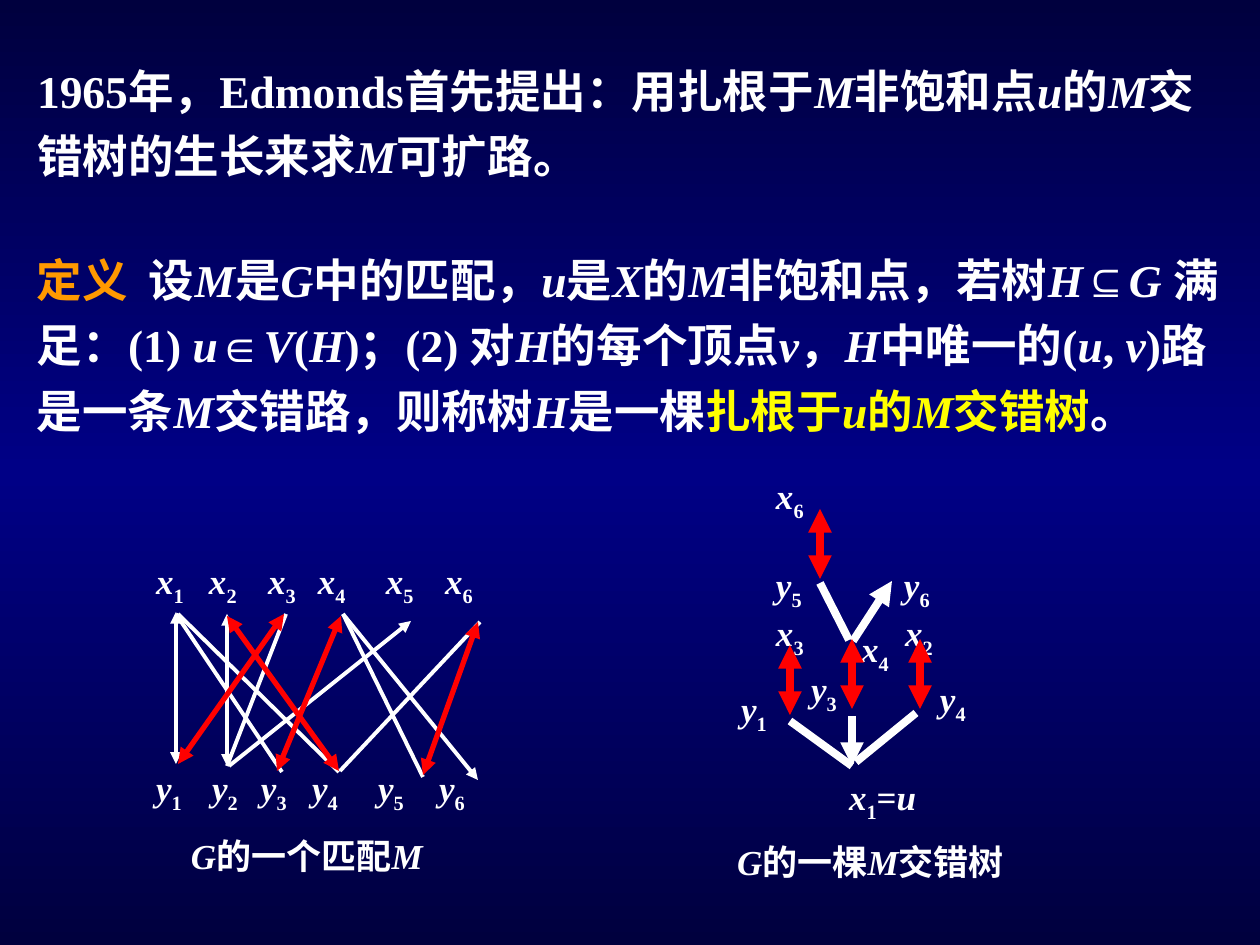
from copy import deepcopy
from dataclasses import dataclass

from lxml import etree
from pptx import Presentation
from pptx import util as u
from pptx.dml.color import RGBColor
from pptx.enum import shapes, text
from pptx.oxml.ns import qn

PX = u.Inches(1) / 126


@dataclass(frozen=True)
class Theme:
    font: str = "Times New Roman"
    symbol_font: str = "Arial"
    white: str = "FFFFFF"
    orange: str = "FF9900"
    yellow: str = "FFFF00"
    red: str = "FF0000"
    background: tuple = ("00003E", "000086", "00003E")
    body_size: int = 26
    label_size: int = 20
    thin: float = 2.25
    medium: float = 3
    thick: float = 4.5


THEME = Theme()

INTRO = [
    ("1965年，Edmonds首先提出：用扎根于*M*非饱和点*u*的*M*交错树的生长来求*M*可扩路。", THEME.white),
]
DEFINITION = [
    ("定义\t", THEME.orange),
    ("设*M*是*G*中的匹配，*u*是*X*的*M*非饱和点，若树*H*", THEME.white),
    ("⊆", THEME.white, THEME.symbol_font),
    ("*G *满足：(1) *u*∈*V*(*H*)；(2) 对*H*的每个顶点*v*，*H*中唯一的(*u*, *v*)路是一条*M*交错路，"
     "则称树*H*是一棵", THEME.white),
    ("扎根于*u*的*M*交错树", THEME.yellow),
    ("。", THEME.white),
]

MATCHING_ROWS = [
    ("x", 560, [156, 209, 268, 318, 386, 445]),
    ("y", 767, [156, 212, 261, 312, 378, 439]),
]
MATCHING_LINES = [
    (THEME.white, THEME.thin, "both", [(176, 612, 176, 764), (227, 614, 227, 766)]),
    (THEME.white, THEME.thin, "end", [(229, 766, 411, 621), (343, 614, 478, 780)]),
    (THEME.white, THEME.thin, "none", [
        (176, 614, 282, 772), (178, 614, 339, 772), (480, 622, 340, 771),
        (343, 614, 423, 777), (286, 614, 227, 766)]),
    (THEME.red, THEME.medium, "both", [
        (478, 622, 423, 775), (341, 616, 277, 771),
        (227, 616, 339, 771), (284, 614, 178, 764)]),
]

TREE_LABELS = [
    ("x", "6", 776, 475), ("y", "5", 776, 564), ("y", "6", 904, 564),
    ("x", "3", 776, 612), ("x", "2", 905, 612), ("x", "4", 861, 628),
    ("y", "1", 741, 688), ("y", "3", 811, 668), ("y", "4", 940, 678),
]
MATCHED_EDGE = 70
TREE_LINES = [
    (THEME.white, THEME.thick, "none", [
        (790, 721, 852, 766), (820, 583, 849, 640), (916, 713, 856, 762)]),
    (THEME.white, THEME.thick, "end", [(852, 716, 852, 766), (853, 641, 892, 581)]),
    (THEME.red, THEME.thick, "both", [
        (x, y, x, y + MATCHED_EDGE)
        for x, y in [(820, 509), (790, 645), (852, 639), (920, 639)]]),
]


def px(value):
    return u.Emu(round(value * PX))


def paint_background(slide):
    fill = slide.background.fill
    fill.gradient()
    fill.gradient_angle = 90
    stop_list = slide.element.find(".//" + qn("a:gsLst"))
    stop_list.insert(1, deepcopy(stop_list[0]))
    for index, (stop, color) in enumerate(zip(fill.gradient_stops, THEME.background)):
        stop.position = index / 2
        stop.color.rgb = RGBColor.from_string(color)


def add_run(paragraph, content, size, color=THEME.white, font=THEME.font,
            italic=False, subscript=False):
    run = paragraph.add_run()
    run.text = content
    run.font.size = u.Pt(size)
    run.font.name = font
    run.font.bold = True
    run.font.italic = italic
    run.font.color.rgb = RGBColor.from_string(color)
    if subscript:
        run.font._element.set("baseline", "-25000")


def add_marked_runs(paragraph, marked, size, color=THEME.white, font=THEME.font):
    for index, part in enumerate(marked.split("*")):
        if part:
            add_run(paragraph, part, size, color, font, italic=index % 2 == 1)


def add_box(container, left, top, width, height, wrap=False):
    frame = container.add_textbox(px(left), px(top), px(width), px(height)).text_frame
    frame.word_wrap = wrap
    frame.margin_left = frame.margin_right = 0
    frame.margin_top = frame.margin_bottom = 0
    return frame


def add_body(slide, segments, top, width, height, anchor, tab=None):
    frame = add_box(slide.shapes, 37, top, width, height, wrap=True)
    frame.vertical_anchor = anchor
    paragraph = frame.paragraphs[0]
    paragraph.line_spacing = 1.2
    if tab:
        tabs = etree.SubElement(paragraph._p.get_or_add_pPr(), qn("a:tabLst"))
        etree.SubElement(tabs, qn("a:tab"), pos=str(px(tab)), algn="l")
    for marked, *style in segments:
        add_marked_runs(paragraph, marked, THEME.body_size, *style)


def add_vertex(container, letter, index, left, top, suffix=""):
    width = 80 if suffix else 34
    paragraph = add_box(container, left, top, width, 48).paragraphs[0]
    add_run(paragraph, letter, THEME.label_size, italic=True)
    add_run(paragraph, index, THEME.label_size, subscript=True)
    add_marked_runs(paragraph, suffix, THEME.label_size)


def add_caption(container, marked, left, top):
    frame = add_box(container, left, top, 360, 52)
    add_marked_runs(frame.paragraphs[0], marked, THEME.label_size)


def add_line(container, ends, color, width, arrows):
    connector = container.add_connector(shapes.MSO_CONNECTOR.STRAIGHT, *map(px, ends))
    connector.line.color.rgb = RGBColor.from_string(color)
    connector.line.width = u.Pt(width)
    outline = connector.line._get_or_add_ln()
    if arrows == "both":
        etree.SubElement(outline, qn("a:headEnd"), type="triangle")
    if arrows != "none":
        etree.SubElement(outline, qn("a:tailEnd"), type="triangle")
    etree.SubElement(connector._element.spPr, qn("a:effectLst"))


def add_lines(container, line_sets):
    for color, width, arrows, lines in line_sets:
        for ends in lines:
            add_line(container, ends, color, width, arrows)


def add_matching(slide):
    container = slide.shapes.add_group_shape().shapes
    for letter, top, lefts in MATCHING_ROWS:
        for index, left in enumerate(lefts, start=1):
            add_vertex(container, letter, str(index), left, top)
    add_caption(container, "*G*的一个匹配*M*", 191, 835)
    add_lines(container, MATCHING_LINES)


def add_tree(slide):
    container = slide.shapes.add_group_shape().shapes
    for label in TREE_LABELS:
        add_vertex(container, *label)
    add_vertex(container, "x", "1", 849, 776, suffix="=*u*")
    add_caption(container, "*G*的一棵*M*交错树", 737, 841)
    add_lines(container, TREE_LINES)


def main():
    presentation = Presentation()
    presentation.slide_width = u.Inches(10)
    presentation.slide_height = u.Inches(7.5)
    slide = presentation.slides.add_slide(presentation.slide_layouts[6])
    paint_background(slide)
    add_body(slide, DEFINITION, 241, 1186, 262, text.MSO_ANCHOR.TOP, tab=112)
    add_body(slide, INTRO, 52, 1178, 131, text.MSO_ANCHOR.MIDDLE)
    add_tree(slide)
    add_matching(slide)
    presentation.save("out.pptx")


if __name__ == "__main__":
    main()
